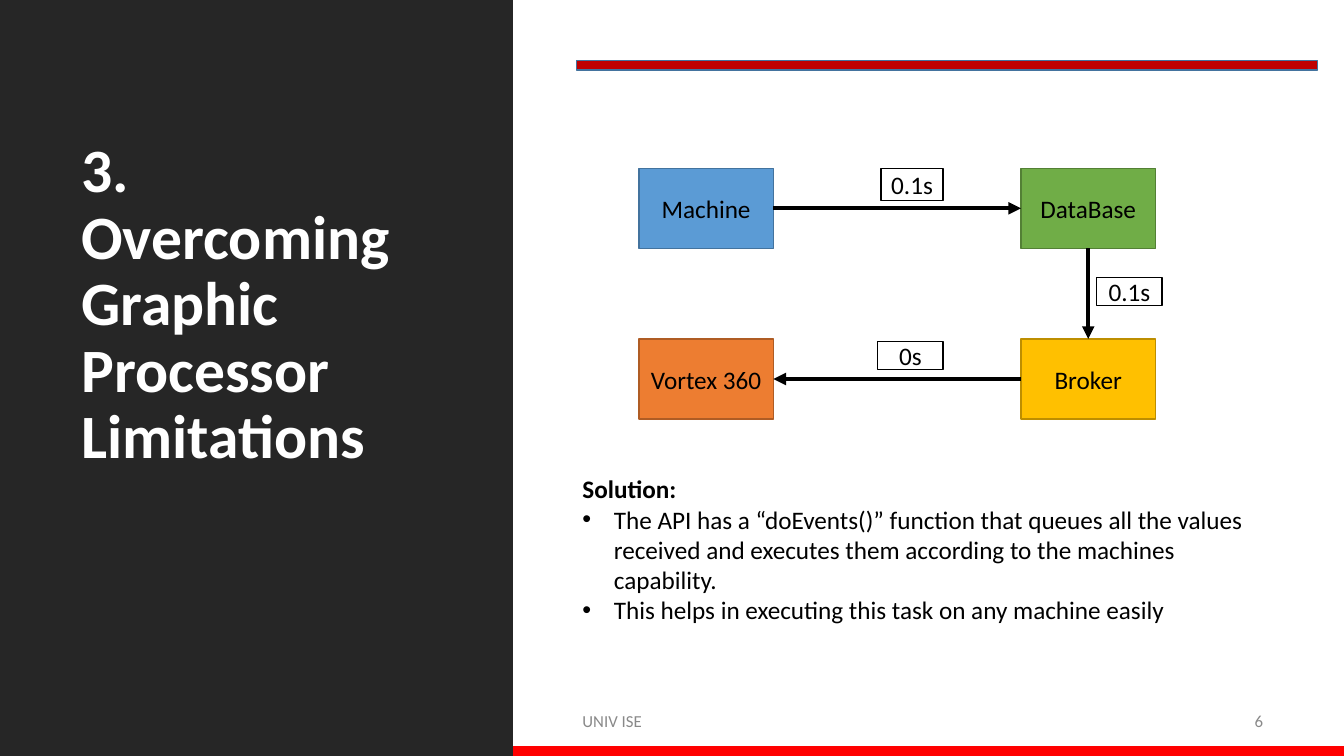
from lxml.etree import SubElement as Sub
from pptx import Presentation
from pptx.dml.color import RGBColor as RGB
from pptx.enum.shapes import MSO_CONNECTOR as Line, MSO_SHAPE as Form
from pptx.enum.text import MSO_ANCHOR as Anchor, PP_ALIGN as Align
from pptx.oxml.ns import qn
from pptx.util import Cm, Pt

WHITE = RGB(0xFF, 0xFF, 0xFF)
BLACK = RGB(0, 0, 0)
DARK = RGB(0x26, 0x26, 0x26)
GREY = RGB(0x89, 0x89, 0x89)
RED = RGB(0xFF, 0, 0)
WINE = RGB(0xC0, 0, 0)
BLUE = RGB(0x5B, 0x9B, 0xD5)
NAVY = RGB(0x43, 0x73, 0x9E)
GREEN = RGB(0x70, 0xAD, 0x47)
MOSS = RGB(0x53, 0x80, 0x35)
GOLD = RGB(0xFF, 0xC0, 0)
BRONZE = RGB(0xBD, 0x8E, 0)
ORANGE = RGB(0xED, 0x7D, 0x31)
RUST = RGB(0xAF, 0x5C, 0x24)

WIDE, HIGH = 33.87, 19.05
SIDE = 12.93


def style(para, text, size, color, bold=False, align=Align.LEFT):
    para.text = text
    para.alignment = align
    font = para.font
    font.name, font.size, font.bold = "Calibri", Pt(size), bold
    font.color.rgb = color


def rect(slide, box, fill=None, edge=None):
    shape = slide.shapes.add_shape(Form.RECTANGLE, *map(Cm, box))
    shape.shadow.inherit = False
    if fill is None:
        shape.fill.background()
    else:
        shape.fill.solid()
        shape.fill.fore_color.rgb = fill
    if edge is None:
        shape.line.fill.background()
    else:
        shape.line.color.rgb = edge
        shape.line.width = Pt(1)
    return shape


def label(shape, text):
    frame = shape.text_frame
    frame.margin_left = frame.margin_right = 0
    frame.margin_top = frame.margin_bottom = 0
    frame.vertical_anchor = Anchor.MIDDLE
    style(frame.paragraphs[0], text, 18, BLACK, align=Align.CENTER)


def area(slide, box, anchor=Anchor.TOP):
    frame = slide.shapes.add_textbox(*map(Cm, box)).text_frame
    frame.word_wrap = True
    frame.vertical_anchor = anchor
    return frame


def arrow(slide, start, out, end, into):
    link = slide.shapes.add_connector(Line.STRAIGHT, 0, 0, 0, 0)
    link.begin_connect(start, out)
    link.end_connect(end, into)
    link.line.color.rgb = BLACK
    link.line.width = Pt(3)
    Sub(link.line._get_or_add_ln(), qn("a:tailEnd"), type="triangle")
    Sub(link._element.spPr, qn("a:effectLst"))


def bullet(para):
    props = para._p.get_or_add_pPr()
    props.set("marL", str(Cm(0.79)))
    props.set("indent", str(-Cm(0.79)))
    Sub(props, qn("a:buFont"), typeface="Arial")
    Sub(props, qn("a:buChar"), char="•")


def bars(slide, x, y, w, h):
    rect(slide, (x + SIDE + 1.6, y + 1.52, 18.67, 0.25), WINE, NAVY)
    rect(slide, (x, y + h - 0.25, w, 0.25), RED)


def title(slide, x, y, w, h):
    rect(slide, (x, y, w, h), DARK)
    frame = area(slide, (x + 1.8, y + 1.78, 9.37, 10.24), Anchor.BOTTOM)
    para = frame.paragraphs[0]
    style(para, "3. Overcoming Graphic Processor Limitations", 44, WHITE, True)
    para.line_spacing = 0.9


def flow(slide, x, y, w, h):
    wide, high = 3.39, 2.02
    right, low = x + w - wide, y + h - high
    nodes = []
    for text, left, top, fill, edge in (
        ("Machine", x, y, BLUE, NAVY),
        ("DataBase", right, y, GREEN, MOSS),
        ("Broker", right, low, GOLD, BRONZE),
        ("Vortex 360", x, low, ORANGE, RUST),
    ):
        node = rect(slide, (left, top, wide, high), fill, edge)
        label(node, text)
        nodes.append(node)
    sides = ((3, 1), (2, 0), (1, 3))
    for start, end, (out, into) in zip(nodes, nodes[1:], sides):
        arrow(slide, start, out, end, into)
    for text, left, top, wide, high in (
        ("0.1s", 6.1, 0, 1.57, 0.81),
        ("0.1s", 11.54, 2.75, 1.65, 0.71),
        ("0s", 6.02, 4.37, 1.65, 0.71),
    ):
        label(rect(slide, (x + left, y + top, wide, high), None, BLACK), text)


def answer(slide, x, y, w, h):
    frame = area(slide, (x, y, w, h))
    style(frame.paragraphs[0], "Solution:", 18, BLACK, True)
    for text in (
        "The API has a “doEvents()” function that queues all the values "
        "received and executes them according to the machines capability.",
        "This helps in executing this task on any machine easily",
    ):
        para = frame.add_paragraph()
        style(para, text, 18, BLACK)
        bullet(para)


def footer(slide, x, y, w, h):
    num = 1.73
    for text, left, wide, align in (
        ("UNIV ISE", x, 15.52, Align.LEFT),
        ("6", x + w - num, num, Align.RIGHT),
    ):
        frame = area(slide, (left, y, wide, h), Anchor.MIDDLE)
        para = frame.paragraphs[0]
        style(para, text, 12, GREY, align=align)
        para.space_after = Pt(6)


def main():
    deck = Presentation()
    deck.slide_width, deck.slide_height = Cm(WIDE), Cm(HIGH)
    slide = deck.slides.add_slide(deck.slide_layouts[6])
    bars(slide, 0, 0, WIDE, HIGH)
    title(slide, 0, 0, SIDE, HIGH)
    footer(slide, 14.43, 17.65, 17.65, 1.02)
    flow(slide, 16.1, 4.24, 13.02, 6.32)
    answer(slide, 14.43, 11.81, 17.32, 4.11)
    deck.save("out.pptx")


if __name__ == "__main__":
    main()
